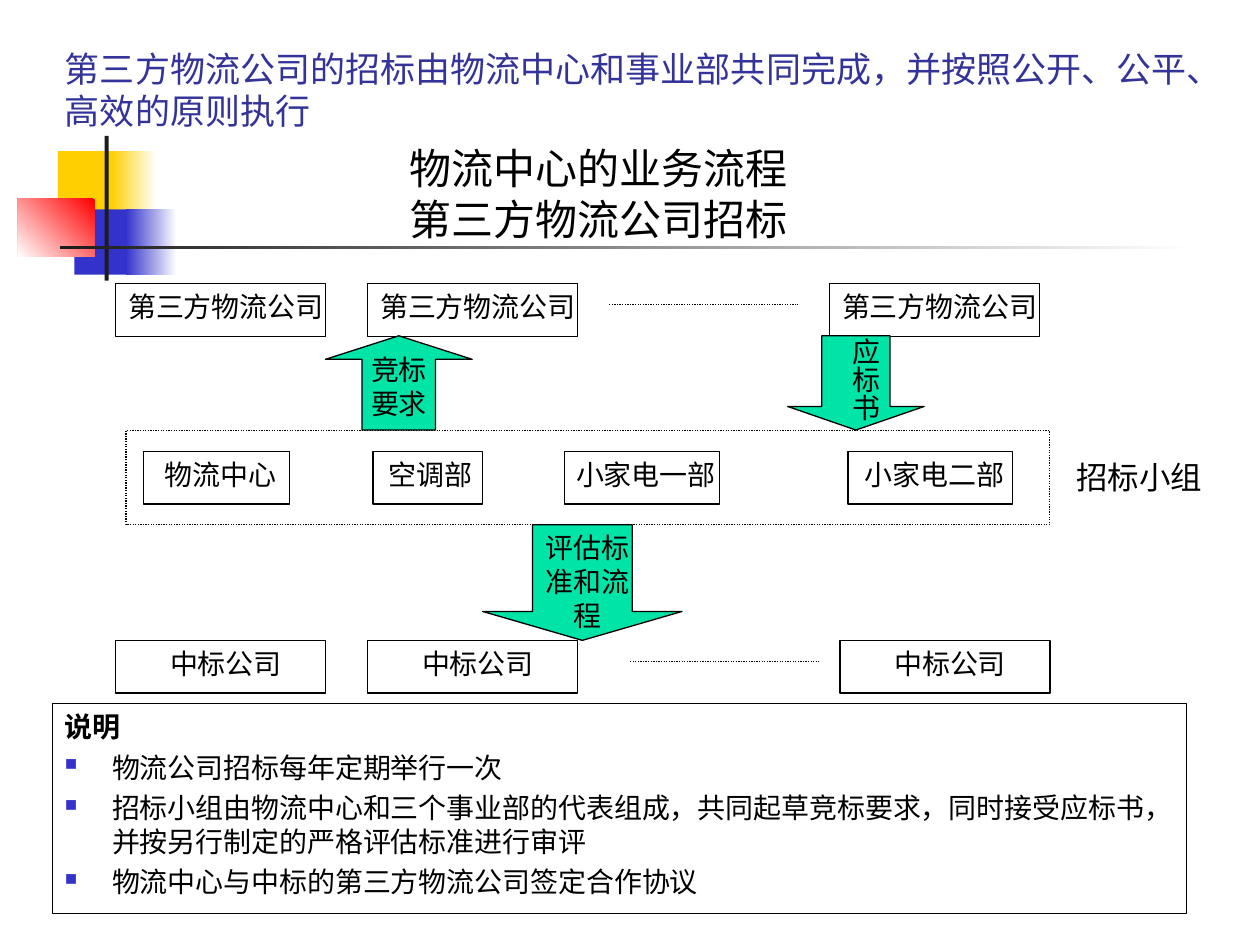
from dataclasses import dataclass
from typing import NamedTuple

from pptx import Presentation
from pptx.dml.color import RGBColor
from pptx.enum.dml import MSO_LINE
from pptx.enum.shapes import MSO_CONNECTOR, MSO_SHAPE
from pptx.enum.text import MSO_ANCHOR, PP_ALIGN
from pptx.oxml.ns import qn
from pptx.util import Cm, Pt
from lxml import etree

RECT = MSO_SHAPE.RECTANGLE
UP = MSO_SHAPE.UP_ARROW
DOWN = MSO_SHAPE.DOWN_ARROW
STRAIGHT = MSO_CONNECTOR.STRAIGHT
DOTS = MSO_LINE.ROUND_DOT
LEFT = PP_ALIGN.LEFT
MID = PP_ALIGN.CENTER
TOP = MSO_ANCHOR.TOP
LOW = MSO_ANCHOR.BOTTOM


@dataclass(frozen=True)
class Theme:
    font: str = "Roboto"
    ink: str = "000000"
    title: str = "333399"
    mint: str = "00E4A8"
    gold: str = "FFCF01"
    blue: str = "3333CC"
    red: str = "FF0000"
    dark: str = "1C1C1C"
    white: str = "FFFFFF"
    text: float = 16
    team: float = 18
    lead: float = 20
    head: float = 24
    line: float = 0.75


class Box(NamedTuple):
    """Left, top, width and height in centimetres."""
    x: float
    y: float
    w: float
    h: float


class Block(NamedTuple):
    box: Box
    fill: str
    fade: str = ""
    angle: float = 180


class Arrow(NamedTuple):
    kind: MSO_SHAPE
    box: Box
    label: str
    area: Box
    upright: bool = False


class Tag(NamedTuple):
    label: str
    x: float
    y: float
    w: float = 4.87


THEME = Theme()
BLOCKS = [
    Block(Box(1.17, 3.05, 1.22, 1.32), THEME.gold),
    Block(Box(2.24, 3.05, 0.91, 1.32), THEME.white, THEME.gold),
    Block(Box(1.5, 4.22, 1.17, 1.32), THEME.blue),
    Block(Box(2.54, 4.22, 1.02, 1.32), THEME.white, THEME.blue),
    Block(Box(0.36, 4.01, 1.55, 1.17), THEME.red, THEME.white, 225),
    Block(Box(2.11, 2.74, 0.08, 2.92), THEME.dark),
    Block(Box(1.22, 4.95, 22.86, 0.08), THEME.white, THEME.dark),
]
ARROWS = [
    Arrow(DOWN, Box(9.73, 10.58, 4.02, 2.33), "评估标准和流程",
          Box(10.58, 10.58, 2.54, 2.29)),
    Arrow(UP, Box(6.56, 6.77, 2.96, 1.9), "竞标要求",
          Box(7.2, 6.99, 1.69, 1.63)),
    Arrow(DOWN, Box(15.88, 6.77, 2.75, 1.9), "应标书",
          Box(16.74, 6.56, 1.17, 2.34), True),
]
TAGS = [
    *(Tag("第三方物流公司", x, 5.72) for x in (2.12, 7.2, 16.51)),
    Tag("物流中心", 2.75, 9.1, 3.39),
    Tag("空调部", 7.41, 9.1, 2.54),
    Tag("小家电一部", 11.22, 9.1, 3.6),
    Tag("小家电二部", 16.93, 9.1, 3.81),
    *(Tag("中标公司", x, 12.91) for x in (2.12, 7.2, 16.72)),
]
GAPS = [(12.28, 6.14), (12.7, 13.34)]
NOTES = [
    "物流公司招标每年定期举行一次",
    "招标小组由物流中心和三个事业部的代表组成，共同起草竞标要求，同时接受应标书，并按另行制定的严格评估标准进行审评",
    "物流中心与中标的第三方物流公司签定合作协议",
]


def paint(hue: str) -> RGBColor:
    return RGBColor.from_string(hue)


def place(box: Box) -> list[Cm]:
    return [Cm(side) for side in box]


def shape(host, kind: MSO_SHAPE, box: Box, fill: str = "", line: bool = True):
    form = host.add_shape(kind, *place(box))
    form.shadow.inherit = False
    if fill:
        form.fill.solid()
        form.fill.fore_color.rgb = paint(fill)
    else:
        form.fill.background()
    if line:
        form.line.color.rgb = paint(THEME.ink)
        form.line.width = Pt(THEME.line)
    else:
        form.line.fill.background()
    return form


def block(host, item: Block) -> None:
    form = shape(host, RECT, item.box, item.fill, False)
    if item.fade:
        form.fill.gradient()
        form.fill.gradient_angle = item.angle
        for stop, hue in zip(form.fill.gradient_stops, (item.fill, item.fade)):
            stop.color.rgb = paint(hue)


def write(host, box: Box, lines: list[str], size: float = THEME.text,
          hue: str = THEME.ink, align: PP_ALIGN = MID, anchor: MSO_ANCHOR = TOP,
          gap: float = 0):
    """Add a wrapped text box; gap is the space before later lines."""
    frame = host.add_textbox(*place(box)).text_frame
    frame.word_wrap = True
    frame.vertical_anchor = anchor
    for i, line in enumerate(lines):
        para = frame.add_paragraph() if i else frame.paragraphs[0]
        para.alignment = align
        para.space_before = Pt(gap if i else 0)
        run = para.add_run()
        run.text = line
        run.font.name = THEME.font
        run.font.size = Pt(size)
        run.font.color.rgb = paint(hue)
    return frame


def arrow(host, item: Arrow) -> None:
    form = shape(host, item.kind, item.box, THEME.mint)
    form.adjustments[0], form.adjustments[1] = 0.5, 0.25
    frame = write(host, item.area, [item.label])
    if item.upright:
        frame.margin_left = frame.margin_right = Cm(0.13)
        frame.margin_top = frame.margin_bottom = Cm(0.25)
        frame._txBody.bodyPr.set("vert", "eaVert")


def tag(host, item: Tag) -> None:
    """Group a label with a frame that is 20/23 of its width."""
    group = host.add_group_shape().shapes
    write(group, Box(item.x, item.y, item.w, 0.94), [item.label])
    shape(group, RECT, Box(item.x + item.w / 23, item.y, item.w * 20 / 23, 1.06))


def dots(host, x: float, y: float) -> None:
    line = host.add_connector(STRAIGHT, Cm(x), Cm(y), Cm(x + 3.81), Cm(y))
    line.line.color.rgb = paint(THEME.ink)
    line.line.width = Pt(THEME.line)
    line.line.dash_style = DOTS
    etree.SubElement(line._element.spPr, qn("a:effectLst"))


def bullet(props) -> None:
    color = etree.SubElement(props, qn("a:buClr"))
    etree.SubElement(color, qn("a:srgbClr"), val=THEME.blue)
    etree.SubElement(props, qn("a:buSzPct"), val="60000")
    etree.SubElement(props, qn("a:buChar"), char="■")


def notes(host) -> None:
    box = Box(1.06, 14.18, 22.86, 4.24)
    frame = write(host, box, ["说明", *NOTES], align=LEFT, gap=4)
    for i, para in enumerate(frame.paragraphs):
        props = para._p.get_or_add_pPr()
        props.set("marL", str(Cm(0.95)))
        props.set("indent", str(-Cm(0.95)))
        if i:
            bullet(props)
    frame.paragraphs[0].runs[0].font.bold = True
    shape(host, RECT, box)


def main() -> None:
    deck = Presentation()
    deck.slide_width, deck.slide_height = Cm(25.4), Cm(19.05)
    host = deck.slides.add_slide(deck.slide_layouts[6]).shapes
    for item in BLOCKS:
        block(host, item)
    write(host, Box(1.06, 0.64, 23.28, 2.13),
          ["第三方物流公司的招标由物流中心和事业部共同完成，并按照公开、公平、高效的原则执行"],
          THEME.lead, THEME.title, LEFT, LOW)
    head = write(host, Box(5.93, 3.18, 12.27, 1.8),
                 ["物流中心的业务流程", "第三方物流公司招标"], THEME.head, gap=15)
    for para in head.paragraphs:
        para.line_spacing = 0.5
    notes(host)
    for item in TAGS:
        tag(host, item)
    team = shape(host, RECT, Box(2.54, 8.68, 18.62, 1.9))
    team.line.dash_style = DOTS
    write(host, Box(21.38, 9.1, 3.18, 1.02), ["招标小组"], THEME.team)
    for item in ARROWS:
        arrow(host, item)
    for spot in GAPS:
        dots(host, *spot)
    deck.save("out.pptx")


if __name__ == "__main__":
    main()
